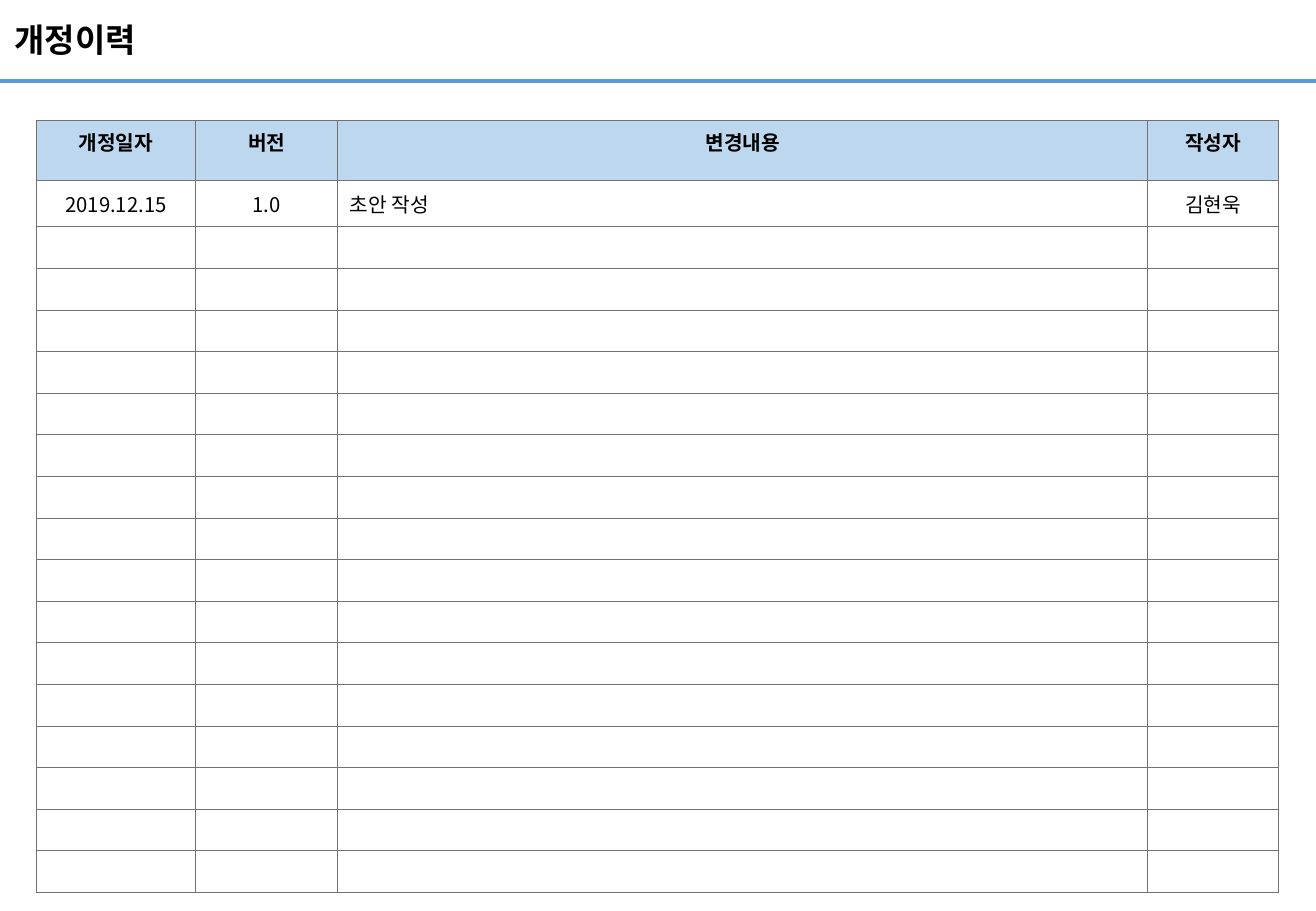
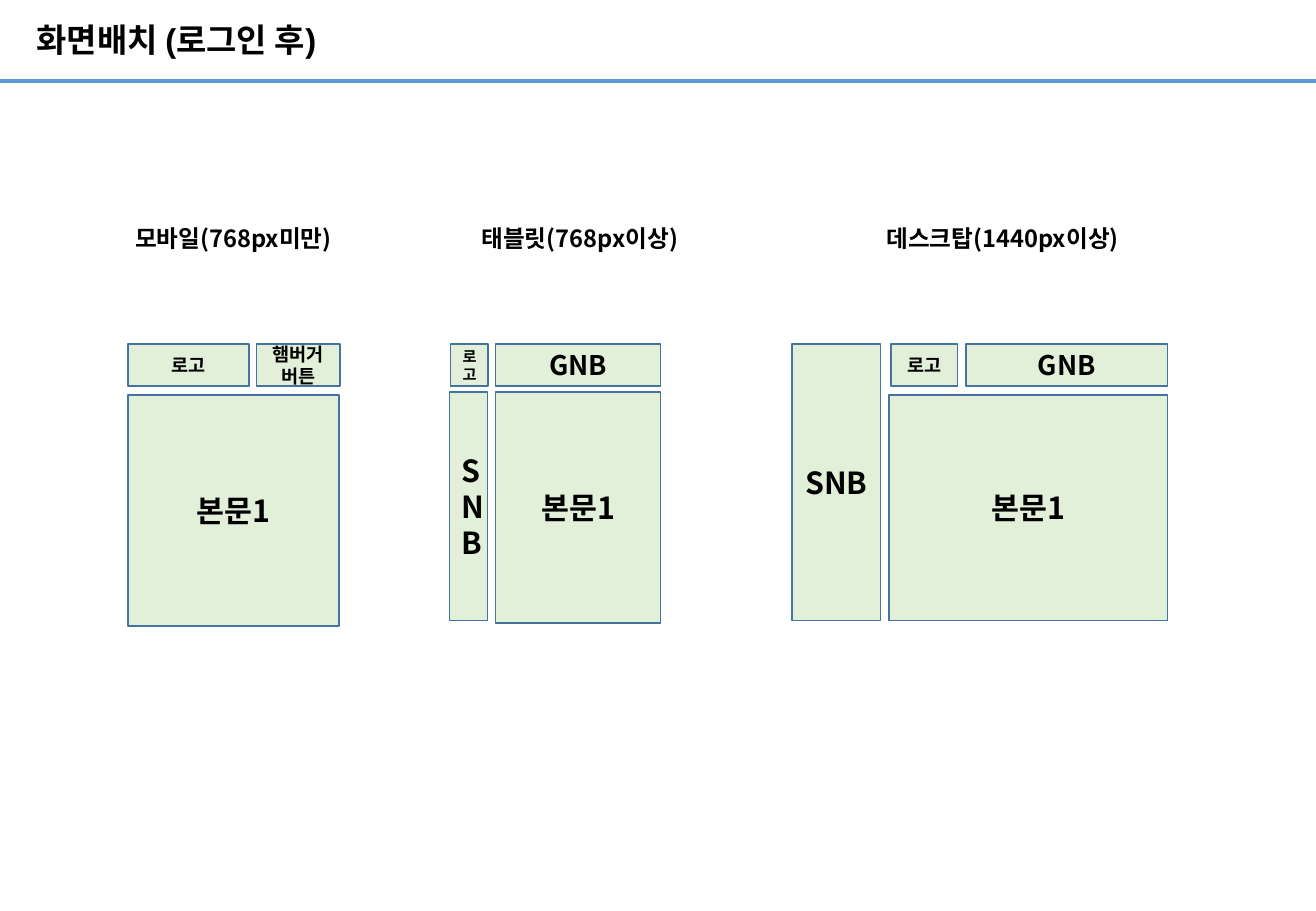
import pptx
import pptx.util
import pptx.dml.color
import pptx.enum.shapes
import pptx.enum.text
import pptx.oxml
import pptx.oxml.ns

Cm, Pt = pptx.util.Cm, pptx.util.Pt
CENTER = pptx.enum.text.PP_ALIGN.CENTER
LEFT = pptx.enum.text.PP_ALIGN.LEFT
TOP = pptx.enum.text.MSO_ANCHOR.TOP
MIDDLE = pptx.enum.text.MSO_ANCHOR.MIDDLE
KOREAN = "Noto Sans CJK KR"
BLACK, WHITE, RULE_BLUE = "000000", "FFFFFF", "5B9BD5"
HEADER_BLUE, GRID_GRAY = "BDD7EE", "767171"
PANEL_GREEN, PANEL_EDGE = "E2F0D9", "43739E"
SLIDE_WIDTH, SLIDE_HEIGHT = 27.51, 19.05

HISTORY_TITLE = ("개정이력", 0.3)
LAYOUT_TITLE = ("화면배치 (로그인 후)", 0.76)

REVISIONS = [
    ("개정일자", "버전", "변경내용", "작성자"),
    ("2019.12.15", "1.0", "초안 작성", "김현욱"),
]
BLANK_REVISIONS = 16
COLUMN_WIDTHS = [3.33, 2.97, 16.93, 2.74]
ROW_HEIGHTS = [1.25, 0.97] + [0.87] * BLANK_REVISIONS

HEADER_TOP, HEADER_HEIGHT = 7.19, 0.89
LABEL_TOP, LABEL_HEIGHT = 4.47, 1.02
SCREENS = [
    {
        "label": ("모바일(768px미만)", 2.24, 5.28),
        "header": [("로고", 2.67, 2.54, 11), ("햄버거 버튼", 5.36, 1.75, 11)],
        "content": [("본문1", 2.67, 8.26, 4.42, 4.83)],
    },
    {
        "label": ("태블릿(768px이상)", 9.73, 4.78),
        "header": [("로고", 9.42, 0.79, 9), ("GNB", 10.36, 3.45, 16)],
        "content": [("SNB", 9.4, 8.2, 0.79, 4.78), ("본문1", 10.36, 8.2, 3.45, 4.83)],
    },
    {
        "label": ("데스크탑(1440px이상)", 18.24, 5.44),
        "header": [("로고", 18.62, 1.4, 11), ("GNB", 20.19, 4.22, 16)],
        "content": [("SNB", 16.56, HEADER_TOP, 1.85, 5.79),
                    ("본문1", 18.59, 8.26, 5.82, 4.72)],
    },
]


def colour(value):
    return pptx.dml.color.RGBColor.from_string(value)


def apply(target, values):
    for attribute, value in values.items():
        setattr(target, attribute, value)


def fill(part, value):
    part.fill.solid()
    part.fill.fore_color.rgb = colour(value)


def write(frame, text, size, bold=True, font=KOREAN, align=CENTER):
    paragraph = frame.paragraphs[0]
    paragraph.alignment = align
    run = paragraph.add_run()
    run.text = text
    apply(run.font, {"name": font, "size": Pt(size), "bold": bold})
    run.font.color.rgb = colour(BLACK)
    latin = run.font._element.find(pptx.oxml.ns.qn("a:latin"))
    latin.addnext(pptx.oxml.parse_xml(
        f'<a:ea {pptx.oxml.ns.nsdecls("a")} typeface="{KOREAN}"/>'))
    return paragraph


def draw_rule(slide, layout):
    rule = slide.shapes.add_connector(
        pptx.enum.shapes.MSO_CONNECTOR.STRAIGHT, 0, Cm(1.7), Cm(SLIDE_WIDTH), Cm(1.7))
    rule.line.color.rgb = colour(RULE_BLUE)
    rule.line.width = Pt(2.25)
    rule.element.spPr.append(pptx.oxml.parse_xml(
        f'<a:effectLst {pptx.oxml.ns.nsdecls("a")}/>'))
    layout.shapes.element.append(rule.element)


def add_titled_slide(deck, layout, title):
    text, left = title
    slide = deck.slides.add_slide(layout)
    heading = slide.shapes.title
    apply(heading, {"left": Cm(left), "top": 0, "width": Cm(18), "height": Cm(1.73)})
    apply(heading.text_frame, {
        "margin_left": 0, "margin_right": 0, "margin_top": 0, "margin_bottom": 0,
        "vertical_anchor": MIDDLE, "word_wrap": True})
    write(heading.text_frame, text, 19.5, font="Arial", align=LEFT).line_spacing = 0.9
    return slide


def border(cell):
    properties = cell._tc.get_or_add_tcPr()
    for position, side in enumerate(("lnL", "lnR", "lnT", "lnB")):
        properties.insert(position, pptx.oxml.parse_xml(
            f'<a:{side} {pptx.oxml.ns.nsdecls("a")} w="{Pt(0.5)}"><a:solidFill>'
            f'<a:srgbClr val="{GRID_GRAY}"/></a:solidFill></a:{side}>'))


def add_history(slide):
    table = slide.shapes.add_table(
        len(ROW_HEIGHTS), len(COLUMN_WIDTHS), Cm(0.76), Cm(2.52),
        Cm(sum(COLUMN_WIDTHS)), Cm(sum(ROW_HEIGHTS))).table
    apply(table, {"first_row": False, "horz_banding": False})
    for column, width in zip(table.columns, COLUMN_WIDTHS):
        column.width = Cm(width)
    for row_index, (row, height) in enumerate(zip(table.rows, ROW_HEIGHTS)):
        row.height = Cm(height)
        is_header = row_index == 0
        for column_index, cell in enumerate(row.cells):
            fill(cell, HEADER_BLUE if is_header else WHITE)
            border(cell)
            cell.vertical_anchor = TOP if is_header else MIDDLE
            if row_index < len(REVISIONS):
                align = LEFT if column_index == 2 and not is_header else CENTER
                write(cell.text_frame, REVISIONS[row_index][column_index], 12,
                      bold=is_header, align=align)
            else:
                cell.text_frame.paragraphs[0]._p.append(pptx.oxml.parse_xml(
                    f'<a:endParaRPr {pptx.oxml.ns.nsdecls("a")} sz="1000"/>'))


def add_panel(slide, text, left, top, width, height, size):
    panel = slide.shapes.add_shape(
        pptx.enum.shapes.MSO_SHAPE.RECTANGLE, Cm(left), Cm(top), Cm(width), Cm(height))
    panel.shadow.inherit = False
    fill(panel, PANEL_GREEN)
    panel.line.color.rgb = colour(PANEL_EDGE)
    panel.line.width = Pt(1)
    apply(panel.text_frame, {"word_wrap": True, "vertical_anchor": MIDDLE})
    write(panel.text_frame, text, size)


def add_screen(slide, screen):
    text, left, width = screen["label"]
    label = slide.shapes.add_textbox(
        Cm(left), Cm(LABEL_TOP), Cm(width), Cm(LABEL_HEIGHT)).text_frame
    apply(label, {"word_wrap": True, "vertical_anchor": MIDDLE})
    write(label, text, 14)
    for text, left, width, size in screen["header"]:
        add_panel(slide, text, left, HEADER_TOP, width, HEADER_HEIGHT, size)
    for text, left, top, width, height in screen["content"]:
        add_panel(slide, text, left, top, width, height, 18)


def main():
    deck = pptx.Presentation()
    apply(deck, {"slide_width": Cm(SLIDE_WIDTH), "slide_height": Cm(SLIDE_HEIGHT)})
    layout = deck.slide_layouts.get_by_name("Title Only")
    history = add_titled_slide(deck, layout, HISTORY_TITLE)
    draw_rule(history, layout)
    add_history(history)
    arrangement = add_titled_slide(deck, layout, LAYOUT_TITLE)
    for screen in SCREENS:
        add_screen(arrangement, screen)
    deck.save("out.pptx")


if __name__ == "__main__":
    main()
